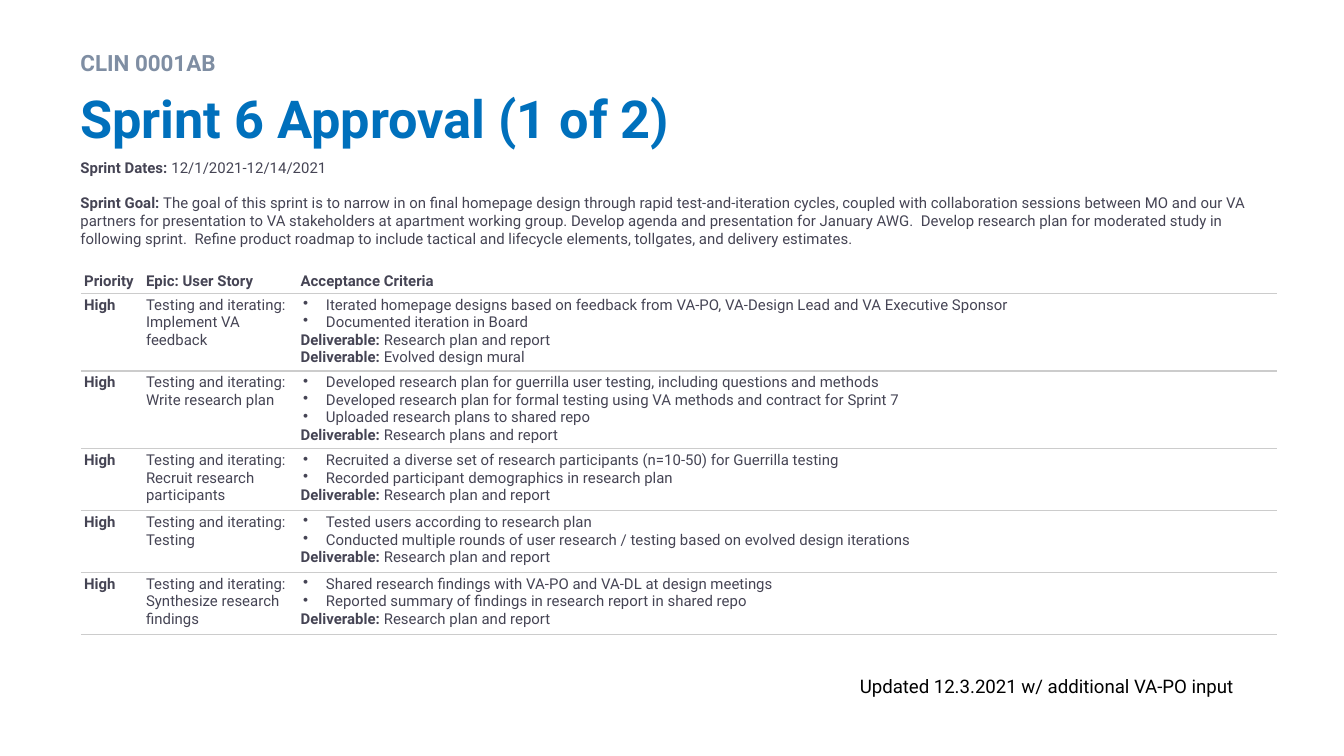
from lxml import etree
from pptx import Presentation
from pptx.dml.color import RGBColor
from pptx.enum.text import MSO_ANCHOR, MSO_AUTO_SIZE, PP_ALIGN
from pptx.oxml import parse_xml
from pptx.oxml.ns import nsdecls, qn
from pptx.util import Cm, Pt

TOP, BOTTOM = MSO_ANCHOR.TOP, MSO_ANCHOR.BOTTOM
LEFT = PP_ALIGN.LEFT
NO_AUTOFIT = MSO_AUTO_SIZE.NONE

FONT = "Roboto"
INK, BLUE, SLATE, RULE, BLACK = "454454", "0070BC", "7F8EA3", "CCCCCC", "000000"
PLAIN_TABLE_STYLE = "{2D5ABB26-0587-4C30-8999-92F81FD0307C}"

HEADINGS = ["Priority", "Epic: User Story", "Acceptance Criteria"]
COLUMN_WIDTHS = [1.17, 2.92, 18.52]
HEADER_HEIGHT = 0.43
PLAN_AND_REPORT = "Research plan and report"

# Each story: task, acceptance criteria, deliverables
STORIES = [
    ("Implement VA feedback",
     ["Iterated homepage designs based on feedback from VA-PO, VA-Design Lead and VA Executive Sponsor",
      "Documented iteration in Board"],
     [PLAN_AND_REPORT, "Evolved design mural"]),
    ("Write research plan",
     ["Developed research plan for guerrilla user testing, including questions and methods",
      "Developed research plan for formal testing using VA methods and contract for Sprint 7",
      "Uploaded research plans to shared repo"],
     ["Research plans and report"]),
    ("Recruit research participants",
     ["Recruited a diverse set of research participants (n=10-50) for Guerrilla testing",
      "Recorded participant demographics in research plan"],
     [PLAN_AND_REPORT]),
    ("Testing",
     ["Tested users according to research plan",
      "Conducted multiple rounds of user research / testing based on evolved design iterations"],
     [PLAN_AND_REPORT]),
    ("Synthesize research findings",
     ["Shared research findings with VA-PO and VA-DL at design meetings",
      "Reported summary of findings in research report in shared repo"],
     [PLAN_AND_REPORT]),
]
SPRINT_GOAL = (
    " The goal of this sprint is to narrow in on final homepage design through rapid "
    "test-and-iteration cycles, coupled with collaboration sessions between MO and our VA partners "
    "for presentation to VA stakeholders at apartment working group. Develop agenda and presentation "
    "for January AWG.  Develop research plan for moderated study in following sprint.  Refine product "
    "roadmap to include tactical and lifecycle elements, tollgates, and delivery estimates."
)


def rgb(value):
    return RGBColor.from_string(value)


def write(frame, text, lead="", size=8, color=INK, bold=False, bullet=False, before=0, spacing=None):
    """Add a paragraph, with an optional bold lead, to a text frame."""
    paragraph = frame.paragraphs[0]
    if paragraph.runs:
        paragraph = frame.add_paragraph()
    if bullet:
        add_bullet(paragraph)
    paragraph.alignment = LEFT
    if before:
        paragraph.space_before = Pt(before)
    if spacing:
        paragraph.line_spacing = spacing
    for part, strong in ((lead, True), (text, bold)):
        if part:
            run = paragraph.add_run()
            run.text = part
            run.font.name = FONT
            run.font.size = Pt(size)
            run.font.bold = strong
            run.font.color.rgb = rgb(color)


def add_bullet(paragraph):
    properties = paragraph._p.get_or_add_pPr()
    properties.set("marL", str(Cm(0.48)))
    properties.set("indent", str(-Cm(0.43)))
    bullet_color = etree.SubElement(properties, qn("a:buClr"))
    etree.SubElement(bullet_color, qn("a:srgbClr"), val=INK)
    etree.SubElement(properties, qn("a:buChar"), char="•")


def set_frame(frame, top_inset):
    frame.word_wrap = True
    frame.auto_size = NO_AUTOFIT
    frame.vertical_anchor = TOP
    frame.margin_left = frame.margin_right = Cm(0.25)
    frame.margin_top = frame.margin_bottom = Cm(top_inset)
    return frame


def add_box(slide, left, top, width, height, top_inset=0.25):
    box = slide.shapes.add_textbox(Cm(left), Cm(top), Cm(width), Cm(height))
    return set_frame(box.text_frame, top_inset)


def add_heading(slide, left, top, width):
    contract = add_box(slide, left, top, width, 0.74, top_inset=0.13)
    write(contract, "CLIN 0001AB", size=12, color=SLATE, bold=True, spacing=1.2)
    title = slide.shapes.title
    title.left, title.top = Cm(left), Cm(top + 0.74)
    title.width, title.height = Cm(width), Cm(1.75)
    write(set_frame(title.text_frame, 0.2), "Sprint 6 Approval (1 of 2)",
          size=28, color=BLUE, bold=True)


def add_summary(slide, left, top, width, height):
    summary = add_box(slide, left, top, width, height)
    write(summary, "12/1/2021-12/14/2021", lead="Sprint Dates: ")
    write(summary, SPRINT_GOAL, lead="Sprint Goal:", before=9.4)


def format_cell(cell, anchor=TOP):
    cell.margin_left = cell.margin_right = Cm(0.06)
    cell.margin_top = cell.margin_bottom = Cm(0.06)
    cell.vertical_anchor = anchor
    cell.fill.background()
    rule = parse_xml(
        f'<a:lnB {nsdecls("a")} w="{Pt(0.75)}"><a:solidFill>'
        f'<a:srgbClr val="{RULE}"/></a:solidFill></a:lnB>')
    cell._tc.get_or_add_tcPr().insert(0, rule)
    return cell.text_frame


def add_story_table(slide, left, top):
    heights = [HEADER_HEIGHT]
    for _, criteria, deliverables in STORIES:
        heights.append(0.27 + 0.3 * (len(criteria) + len(deliverables)))
    frame = slide.shapes.add_table(len(heights), len(HEADINGS), Cm(left), Cm(top),
                                   Cm(sum(COLUMN_WIDTHS)), Cm(sum(heights)))
    table = frame.table
    table.first_row = table.horz_banding = False
    table._tbl.tblPr.find(qn("a:tableStyleId")).text = PLAIN_TABLE_STYLE
    for column, width in zip(table.columns, COLUMN_WIDTHS):
        column.width = Cm(width)
    for row, height in zip(table.rows, heights):
        row.height = Cm(height)

    for index, heading in enumerate(HEADINGS):
        write(format_cell(table.cell(0, index), BOTTOM), heading, bold=True)
    for number, (task, criteria, deliverables) in enumerate(STORIES, start=1):
        priority, epic, acceptance = [format_cell(table.cell(number, i)) for i in range(3)]
        write(priority, "High", bold=True)
        write(epic, f"Testing and iterating: {task}")
        for criterion in criteria:
            write(acceptance, criterion, bullet=True)
        for deliverable in deliverables:
            write(acceptance, f" {deliverable}", lead="Deliverable:")


def add_update_note(slide, left, top, width, height):
    note = add_box(slide, left, top, width, height)
    write(note, "Updated 12.3.2021 w/ additional VA-PO input", size=10, color=BLACK)


def main():
    deck = Presentation()
    deck.slide_width, deck.slide_height = Cm(25.4), Cm(14.29)
    slide = deck.slides.add_slide(deck.slide_layouts[5])
    add_heading(slide, 1.27, 0.69, 22.86)
    add_summary(slide, 1.27, 2.74, 22.86, 2.24)
    add_story_table(slide, 1.53, 5.09)
    add_update_note(slide, 16, 12.5, 8.13, 0.94)
    deck.save("out.pptx")


if __name__ == "__main__":
    main()
